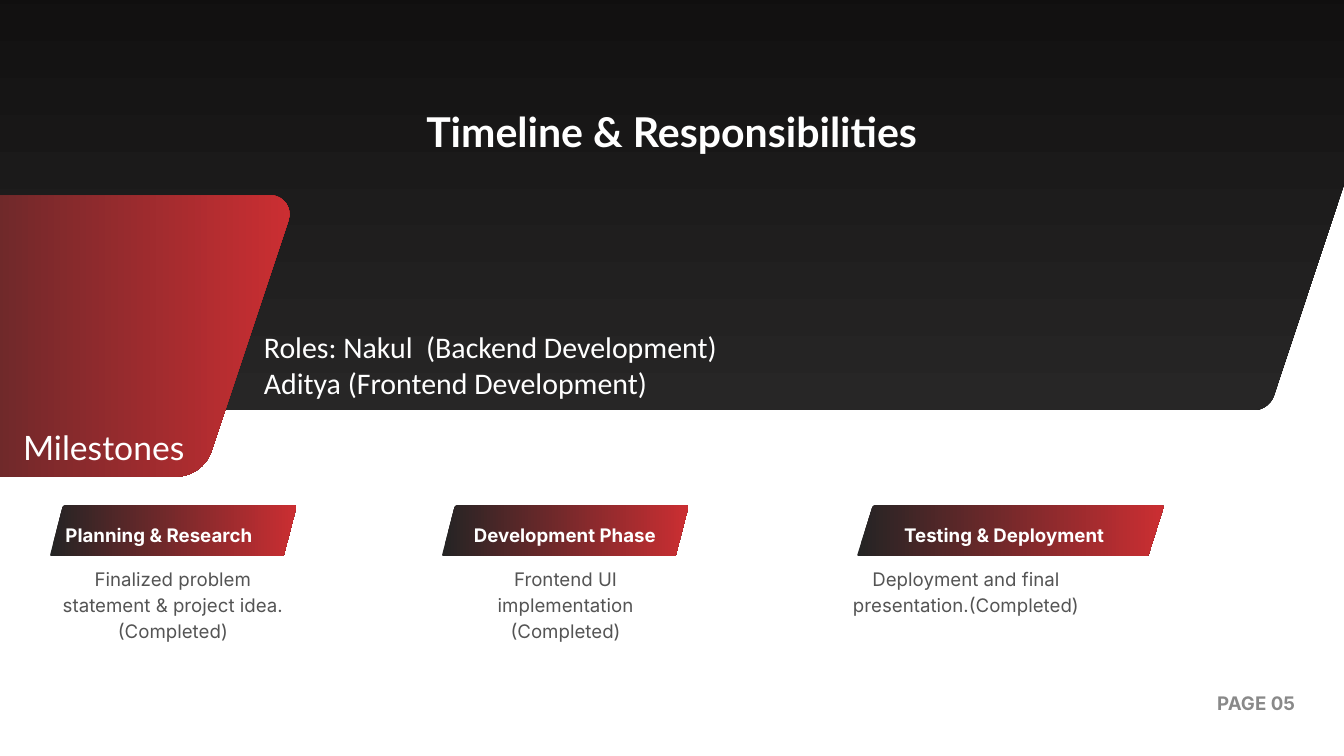
from dataclasses import dataclass

import pptx
import pptx.dml.color
import pptx.enum.text
import pptx.oxml.ns
import pptx.util
from pptx.enum.text import PP_ALIGN
from pptx.shapes.autoshape import Shape
from pptx.slide import Slide

EMU_PER_PX = 9525

COLORS = {
    "black": "0E0D0D",
    "panel": "272626",
    "charcoal": "242424",
    "red": "CB2E32",
    "white": "FFFFFF",
    "body": "545454",
    "page": "898989",
}


@dataclass(frozen=True)
class Slab:
    """A parallelogram leaning right; corner is the length cut from each edge."""
    left: int
    top: int
    width: int
    height: int
    slant: int
    corner: int
    start: str = "charcoal"
    end: str = "red"
    angle: int = 0


@dataclass(frozen=True)
class Label:
    text: str
    left: int
    top: int
    width: int
    height: int
    size: int
    color: str = "white"
    font: str = "Inter"
    bold: bool = False
    align: PP_ALIGN = PP_ALIGN.CENTER
    leading: float | None = None


@dataclass(frozen=True)
class Step:
    name: str
    detail: str
    badge_left: int
    badge_width: int
    badge_slant: int
    name_left: int
    name_width: int
    detail_left: int
    detail_height: int


HEADER = Slab(-235, -100, 2276, 686, 228, 22, "black", "panel", 270)
MILESTONE_PANEL = Slab(-352, 279, 776, 402, 134, 38)

STEPS = [
    Step("Planning & Research",
         "Finalized problem statement & project idea.\v(Completed)",
         71, 353, 19, 51, 352, 83, 110),
    Step("Development Phase", "Frontend UI implementation (Completed)",
         631, 353, 19, 665, 284, 644, 110),
    Step("Testing & Deployment", "Deployment and final presentation.(Completed)",
         1224, 439, 23, 1237, 395, 1216, 74),
]

TITLE = Label("Timeline & Responsibilities", 594, 134, 732, 81, 44,
              font="Lato", bold=True, leading=66)
PAGE = Label("PAGE 05", 1712, 983, 138, 35, 20, "page",
             bold=True, align=PP_ALIGN.RIGHT, leading=28)
MILESTONES = Label("Milestones", 33, 610, 261, 59, 36,
                   font="Lato", align=PP_ALIGN.LEFT)
ROLES = Label("Roles: Nakul  (Backend Development)\nAditya (Frontend Development)",
              377, 470, 965, 104, 32, font="Calibri", align=PP_ALIGN.LEFT)


def emu(px: float) -> int:
    return round(px * EMU_PER_PX)


def rgb(name: str) -> pptx.dml.color.RGBColor:
    return pptx.dml.color.RGBColor.from_string(COLORS[name])


def between(start: tuple, end: tuple, share: float) -> tuple:
    return tuple(a + (b - a) * share for a, b in zip(start, end))


def toward(start: tuple, end: tuple, distance: float) -> tuple:
    """Return the point that lies distance from start on the way to end."""
    length = sum((b - a) ** 2 for a, b in zip(start, end)) ** 0.5
    return between(start, end, distance / length)


def corner_curve(before: tuple, corner: tuple, after: tuple, sharp: bool) -> list:
    """Return the Bezier points from before to after, halved at a sharp corner."""
    reach = 0.5 if sharp else 0.58
    first, second = between(before, corner, reach), between(after, corner, reach)
    if not sharp:
        return [first, second, after]
    middle = between(first, second, 0.5)
    enter, leave = between(before, first, 0.5), between(second, after, 0.5)
    inner, outer = between(enter, middle, 0.5), between(middle, leave, 0.5)
    return [enter, inner, between(inner, outer, 0.5), outer, leave, after]


def bend(lines: list) -> None:
    """Turn each three straight segments into one cubic curve."""
    for index in range(0, len(lines), 3):
        curve = lines[index].makeelement(pptx.oxml.ns.qn("a:cubicBezTo"))
        lines[index].addprevious(curve)
        for line in lines[index:index + 3]:
            curve.append(line[0])
            line.getparent().remove(line)


def draw_slab(slide: Slide, slab: Slab) -> Shape:
    right, bottom = slab.left + slab.width, slab.top + slab.height
    corners = [(slab.left + slab.slant, slab.top), (right, slab.top),
               (right - slab.slant, bottom), (slab.left, bottom)]
    outline, curved = [], []
    for index, corner in enumerate(corners):
        before = toward(corner, corners[index - 1], slab.corner)
        after = toward(corner, corners[(index + 1) % 4], slab.corner)
        curve = corner_curve(before, corner, after, sharp=index % 2 == 1)
        outline += [before, *curve]
        curved += [False] + [True] * len(curve)
    points = [(emu(x), emu(y)) for x, y in outline]

    builder = slide.shapes.build_freeform(*points[0])
    builder.add_line_segments(points[1:], close=True)
    shape = builder.convert_to_shape()
    lines = shape.element.findall(".//" + pptx.oxml.ns.qn("a:lnTo"))
    bend([line for line, is_curved in zip(lines, curved[1:]) if is_curved])
    shape.shadow.inherit = False
    shape.line.fill.background()
    shape.fill.gradient()
    shape.fill.gradient_angle = slab.angle
    for stop, color in zip(shape.fill.gradient_stops, (slab.start, slab.end)):
        stop.color.rgb = rgb(color)
    return shape


def draw_label(slide: Slide, label: Label) -> Shape:
    box = slide.shapes.add_textbox(
        *map(emu, (label.left, label.top, label.width, label.height)))
    frame = box.text_frame
    frame.word_wrap = True
    frame.auto_size = pptx.enum.text.MSO_AUTO_SIZE.SHAPE_TO_FIT_TEXT
    frame.margin_left = frame.margin_right = 0
    frame.margin_top = frame.margin_bottom = 0
    frame.text = label.text
    for paragraph in frame.paragraphs:
        paragraph.alignment = label.align
        if label.leading:
            paragraph.line_spacing = pptx.util.Pt(label.leading)
        for run in paragraph.runs:
            run.font.name = label.font
            run.font.size = pptx.util.Pt(label.size)
            run.font.bold = label.bold
            run.font.color.rgb = rgb(label.color)
    return box


def main() -> None:
    deck = pptx.Presentation()
    deck.slide_width, deck.slide_height = emu(1920), emu(1080)
    slide = deck.slides.add_slide(deck.slide_layouts[6])
    badges = [Slab(step.badge_left, 722, step.badge_width, 73, step.badge_slant, 3)
              for step in STEPS]
    names = [Label(step.name, step.name_left, 735, step.name_width, 40, 20,
                   bold=True, leading=33.6) for step in STEPS]
    details = [Label(step.detail, step.detail_left, 806, 328, step.detail_height,
                     20, "body", leading=28) for step in STEPS]
    for slab in [HEADER, *badges, MILESTONE_PANEL]:
        draw_slab(slide, slab)
    for label in [TITLE, *names, *details, PAGE, MILESTONES, ROLES]:
        draw_label(slide, label)
    deck.save("out.pptx")


if __name__ == "__main__":
    main()
